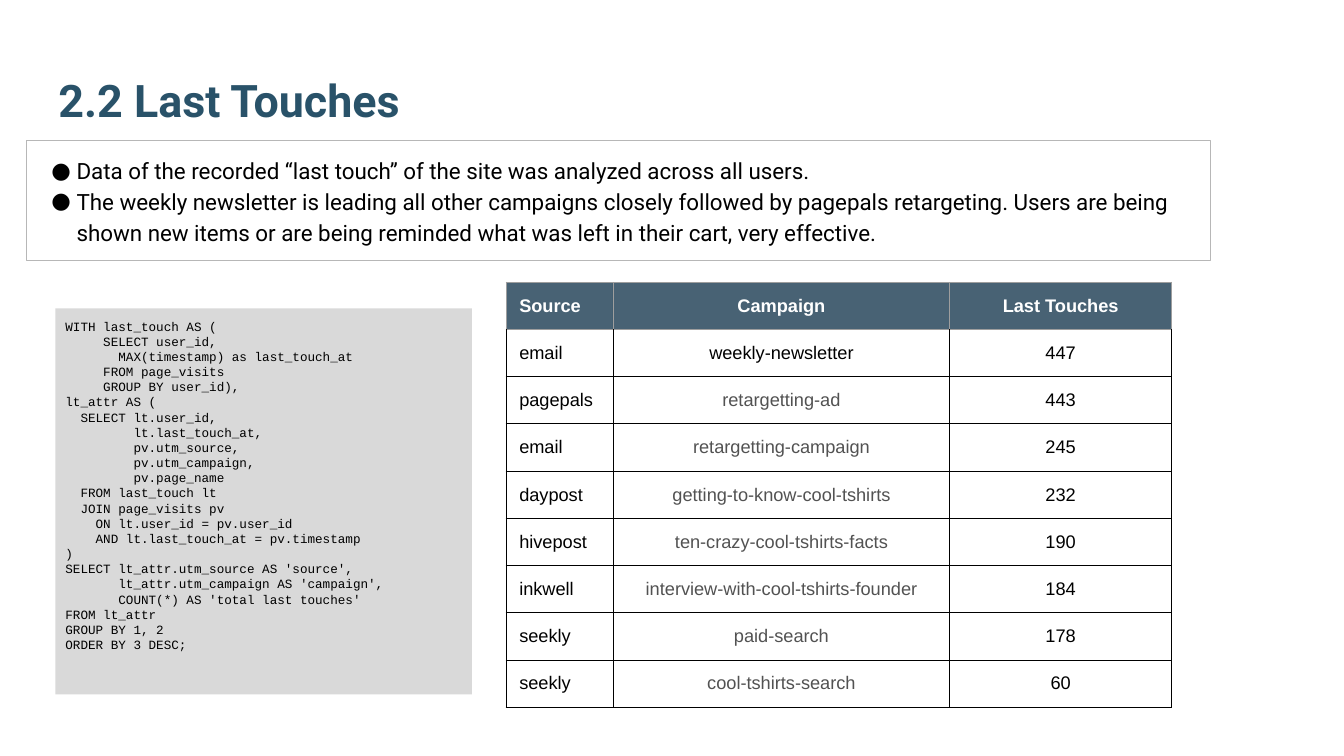
import lxml.etree
import pptx
import pptx.dml.color
import pptx.enum.shapes
import pptx.enum.text
import pptx.oxml.ns
import pptx.util

RGB = pptx.dml.color.RGBColor
NAVY = RGB(0x29, 0x52, 0x69)
HEAD = RGB(0x20, 0x40, 0x56)
BLACK = RGB(0, 0, 0)
WHITE = RGB(255, 255, 255)
GREY = RGB(0x52, 0x52, 0x52)
RULE = RGB(0x9E, 0x9E, 0x9E)
EDGE = RGB(0xB7, 0xB7, 0xB7)
PANEL = RGB(0xD9, 0xD9, 0xD9)
LEFT = pptx.enum.text.PP_ALIGN.LEFT
CENTER = pptx.enum.text.PP_ALIGN.CENTER
TOP = pptx.enum.text.MSO_ANCHOR.TOP
MIDDLE = pptx.enum.text.MSO_ANCHOR.MIDDLE
BOTTOM = pptx.enum.text.MSO_ANCHOR.BOTTOM
RECT = pptx.enum.shapes.MSO_SHAPE.RECTANGLE
inch = pptx.util.Inches
size = pptx.util.Pt

deck = pptx.Presentation()
deck.slide_width = inch(13.33)
deck.slide_height = inch(7.5)
slide = deck.slides.add_slide(deck.slide_layouts[6])
col = deck.slide_width / 100
row = deck.slide_height / 100
pad = inch(0.13)
sides = ("margin_left", "margin_top", "margin_right", "margin_bottom")


def put(item, look):
    for name, value in look.items():
        setattr(item, name, value)


def add(node, tag, **values):
    return lxml.etree.SubElement(node, pptx.oxml.ns.qn(tag), values)


code = """WITH last_touch AS (
     SELECT user_id,
       MAX(timestamp) as last_touch_at
     FROM page_visits
     GROUP BY user_id),
lt_attr AS (
  SELECT lt.user_id,
         lt.last_touch_at,
         pv.utm_source,
         pv.utm_campaign,
         pv.page_name
  FROM last_touch lt
  JOIN page_visits pv
    ON lt.user_id = pv.user_id
    AND lt.last_touch_at = pv.timestamp
)
SELECT lt_attr.utm_source AS 'source',
       lt_attr.utm_campaign AS 'campaign',
       COUNT(*) AS 'total last touches'
FROM lt_attr
GROUP BY 1, 2
ORDER BY 3 DESC;"""
points = [
    "Data of the recorded “last touch” of the site was analyzed across all users.",
    "The weekly newsletter is leading all other campaigns closely followed by "
    "pagepals retargeting. Users are being shown new items or are being reminded "
    "what was left in their cart, very effective.",
]
boxes = [
    (["2.2 Last Touches"], (3.38, 5.73, 93.17, 12.8), None, None, BOTTOM, (pad,) * 4,
     {"size": size(32), "name": "Roboto", "bold": True}, NAVY),
    (points, (1.95, 18.53, 88.15, 15.87), None, EDGE, TOP, (inch(0.25), pad, pad, pad),
     {"size": size(16), "name": "Roboto"}, BLACK),
    (code.split("\n"), (4.13, 40.8, 30.98, 51.07), PANEL, None, TOP, (inch(0.1),) * 4,
     {"size": size(9), "name": "Courier New"}, BLACK),
]
for lines, (x, y, w, h), fill, edge, anchor, gaps, font, color in boxes:
    box = slide.shapes.add_shape(RECT, int(x * col), int(y * row), int(w * col), int(h * row))
    box.shadow.inherit = False
    if fill:
        box.fill.solid()
        box.fill.fore_color.rgb = fill
    else:
        box.fill.background()
    if edge:
        box.line.color.rgb = edge
        box.line.width = size(0.75)
    else:
        box.line.fill.background()
    frame = box.text_frame
    put(frame, {"word_wrap": True, "vertical_anchor": anchor, **dict(zip(sides, gaps))})
    for at, line in enumerate(lines):
        para = frame.add_paragraph() if at else frame.paragraphs[0]
        para.alignment = LEFT
        if lines is points:
            props = para._p.get_or_add_pPr()
            props.set("marL", str(inch(0.25)))
            props.set("indent", str(inch(-0.28)))
            add(add(props, "a:buClr"), "a:srgbClr", val=str(BLACK))
            add(props, "a:buFont", typeface="Roboto")
            add(props, "a:buChar", char="●")
            para.line_spacing = 1.15
        run = para.add_run()
        run.text = line
        put(run.font, font)
        run.font.color.rgb = color

data = [
    ("Source", "Campaign", "Last Touches"),
    ("email", "weekly-newsletter", "447"),
    ("pagepals", "retargetting-ad", "443"),
    ("email", "retargetting-campaign", "245"),
    ("daypost", "getting-to-know-cool-tshirts", "232"),
    ("hivepost", "ten-crazy-cool-tshirts-facts", "190"),
    ("inkwell", "interview-with-cool-tshirts-founder", "184"),
    ("seekly", "paid-search", "178"),
    ("seekly", "cool-tshirts-search", "60"),
]
widths = (7.95, 25.06, 16.5)
tall = 6.25
grid = slide.shapes.add_table(
    len(data), len(widths), int(37.66 * col), int(37.33 * row),
    int(sum(widths) * col), int(len(data) * tall * row)).table
put(grid, {"first_row": False, "horz_banding": False})
for part, width in zip(grid.columns, widths):
    part.width = int(width * col)
for r, texts in enumerate(data):
    grid.rows[r].height = int(tall * row)
    for c, text in enumerate(texts):
        cell = grid.cell(r, c)
        put(cell, {"vertical_anchor": MIDDLE, **dict.fromkeys(sides, pad)})
        props = cell._tc.get_or_add_tcPr()
        for side in "LRTB":
            pale = r == 0 or (r == 1 and side == "T")
            line = add(props, "a:ln" + side, w=str(size(0.75)))
            add(add(line, "a:solidFill"), "a:srgbClr", val=str(RULE if pale else BLACK))
        if r == 0:
            cell.fill.solid()
            cell.fill.fore_color.rgb = HEAD
            tint = props.find(pptx.oxml.ns.qn("a:solidFill"))
            add(tint[0], "a:alpha", val="82000")
        else:
            cell.fill.background()
        para = cell.text_frame.paragraphs[0]
        para.alignment = CENTER if c else LEFT
        run = para.add_run()
        run.text = text
        put(run.font, {"size": size(13), "name": "Arial", "bold": r == 0})
        run.font.color.rgb = WHITE if r == 0 else GREY if c == 1 and r > 1 else BLACK

deck.save("out.pptx")
